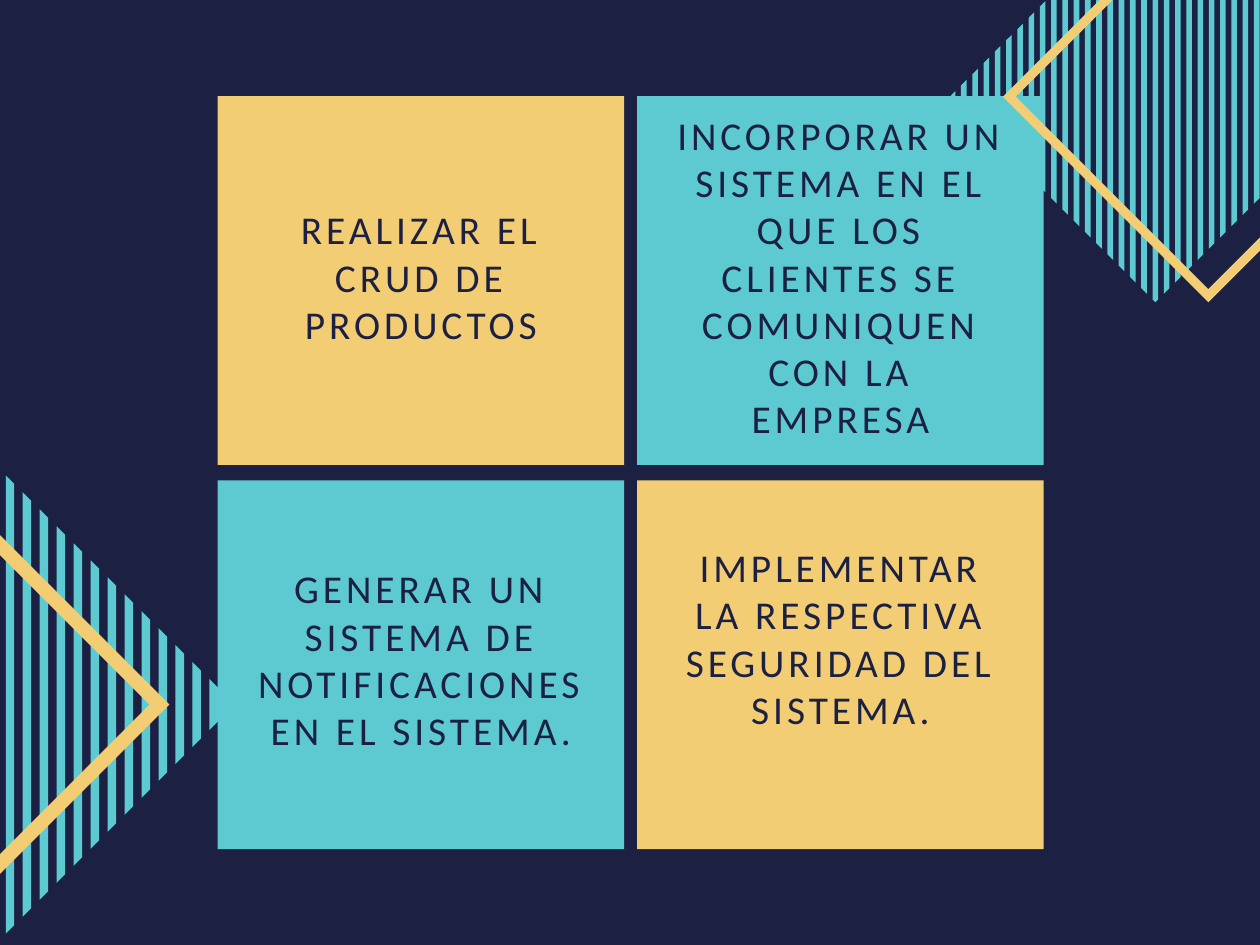
from math import sqrt

from pptx import Presentation
from pptx.dml.color import RGBColor
from pptx.enum.shapes import MSO_SHAPE
from pptx.enum.text import MSO_AUTO_SIZE, PP_ALIGN
from pptx.util import Cm, Pt

INK = {"navy": "1C2143", "teal": "5DCAD1", "gold": "F3CD74"}
FONT = {"name": "Calibri", "size": Pt(24)}
FRAME = {"margin_left": 0, "margin_right": 0, "margin_top": 0,
         "margin_bottom": 0, "word_wrap": True,
         "auto_size": MSO_AUTO_SIZE.SHAPE_TO_FIT_TEXT}
PARA = {"alignment": PP_ALIGN.CENTER, "line_spacing": Pt(28.8)}
LINE = 1.02
BARS = 37
RIM = 0.936

STRIPES = [(-1.61, 15.15, 6.66), (24.84, 2.08, 4.42)]
FRAMES = [(-3.03, 15.15, 6.67), (25.98, 2.08, 4.42)]
LEFT, TOP, WIDE, HIGH = 4.68, 2.07, 8.74, 7.93
STEP_X, STEP_Y = 9.02, 8.26
TILES = [
    ("gold", "REALIZAR EL CRUD DE PRODUCTOS", 2.35, 7.06, 3),
    ("teal", "INCORPORAR UN SISTEMA EN EL QUE LOS CLIENTES SE COMUNIQUEN "
     "CON LA EMPRESA", 0.32, 7.06, 7),
    ("teal", "GENERAR UN SISTEMA DE NOTIFICACIONES EN EL SISTEMA.",
     1.81, 7.87, 4),
    ("gold", "IMPLEMENTAR LA RESPECTIVA SEGURIDAD DEL SISTEMA.",
     1.35, 7.06, 4),
]


def apply(item, values):
    """Set each named attribute of an item."""
    for key, value in values.items():
        setattr(item, key, value)


def paint(shape, tone):
    """Give a shape a flat fill with no line or shadow."""
    shape.shadow.inherit = False
    shape.fill.solid()
    shape.fill.fore_color.rgb = RGBColor.from_string(INK[tone])
    shape.line.fill.background()


def draw(slide, box, rings, tone):
    """Draw rings of points around a centre as one shape turned by 45 degrees."""
    mid_x, mid_y, _ = box
    turned = [[(Cm(mid_x + (x - y) / sqrt(2)), Cm(mid_y + (x + y) / sqrt(2)))
               for x, y in ring] for ring in rings]
    pen = slide.shapes.build_freeform(*turned[0][0])
    for index, ring in enumerate(turned):
        if index:
            pen.move_to(*ring[0])
        pen.add_line_segments(ring[1:], close=True)
    shape = pen.convert_to_shape()
    shape.rotation = 315
    paint(shape, tone)


def add_bars(slide, box):
    """Fill a diamond with upright bars whose gaps match their width."""
    reach = box[2]
    width = 2 * reach / (2 * BARS - 1)
    rings = []
    for index in range(BARS):
        start = 2 * index * width - reach
        edge = [(x, abs(x) - reach)
                for x in (start, start + width / 2, start + width)]
        rings.append(edge + [(x, -y) for x, y in reversed(edge)])
    draw(slide, box, rings, "teal")


def add_frame(slide, box):
    """Outline a diamond with a thick band."""
    reach = box[2]
    hole = reach * RIM
    rings = [[(-reach, 0), (0, reach), (reach, 0), (0, -reach)],
             [(hole, 0), (0, hole), (-hole, 0), (0, -hole)]]
    draw(slide, box, rings, "gold")


def add_tile(slide, box, tone, words, drop, span, lines):
    """Place a coloured tile and its centred wording."""
    left, top, width, height = box
    tile = slide.shapes.add_shape(
        MSO_SHAPE.RECTANGLE, Cm(left), Cm(top), Cm(width), Cm(height))
    paint(tile, tone)
    label = slide.shapes.add_textbox(
        Cm(left + (width - span) / 2), Cm(top + drop),
        Cm(span), Cm(lines * LINE))
    apply(label.text_frame, FRAME)
    para = label.text_frame.paragraphs[0]
    apply(para, PARA)
    run = para.add_run()
    run.text = words
    apply(run.font, FONT)
    run.font.color.rgb = RGBColor.from_string(INK["navy"])
    run._r.get_or_add_rPr().set("spc", "240")


def main():
    """Build and save the slide."""
    deck = Presentation()
    apply(deck, {"slide_width": Cm(27.09), "slide_height": Cm(20.32)})
    slide = deck.slides.add_slide(deck.slide_layouts[6])
    slide.background.fill.solid()
    slide.background.fill.fore_color.rgb = RGBColor.from_string(INK["navy"])
    for box in STRIPES:
        add_bars(slide, box)
    for index, tile in enumerate(TILES):
        row, col = divmod(index, 2)
        add_tile(slide, (LEFT + col * STEP_X, TOP + row * STEP_Y, WIDE, HIGH),
                 *tile)
    for box in FRAMES:
        add_frame(slide, box)
    deck.save("out.pptx")


if __name__ == "__main__":
    main()
